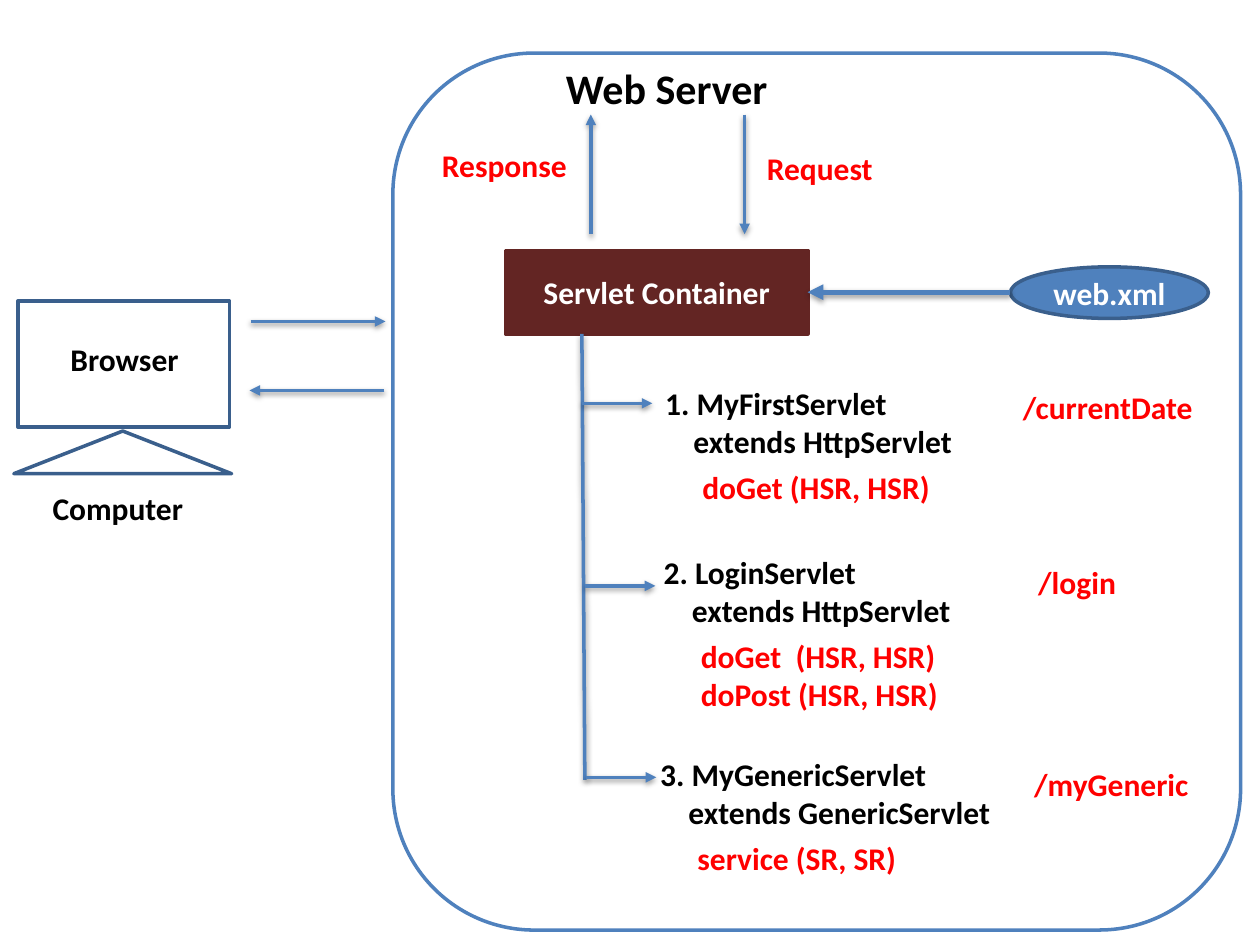
from dataclasses import dataclass

from lxml import etree
from pptx import Presentation
from pptx.dml.color import RGBColor
from pptx.enum.shapes import MSO_CONNECTOR, MSO_SHAPE
from pptx.enum.text import MSO_ANCHOR, PP_ALIGN
from pptx.oxml.ns import qn
from pptx.util import Cm, Pt

STRAIGHT = MSO_CONNECTOR.STRAIGHT
ROUNDED, RECTANGLE = MSO_SHAPE.ROUNDED_RECTANGLE, MSO_SHAPE.RECTANGLE
TRIANGLE, OVAL = MSO_SHAPE.ISOSCELES_TRIANGLE, MSO_SHAPE.OVAL
LEFT, CENTER = PP_ALIGN.LEFT, PP_ALIGN.CENTER
TOP, MIDDLE = MSO_ANCHOR.TOP, MSO_ANCHOR.MIDDLE

COLORS = {
    "black": "000000", "white": "FFFFFF", "red": "FF0000",
    "blue": "4F81BD", "navy": "3A5F8C", "maroon": "632523",
}
LINE_HEIGHT = 0.76


@dataclass
class Box:
    left: float
    top: float
    width: float
    height: float

    def lengths(self) -> list:
        return [Cm(v) for v in (self.left, self.top, self.width, self.height)]


@dataclass
class Arrow:
    x1: float
    y1: float
    x2: float
    y2: float
    width: float = 2
    headed: bool = True


@dataclass
class Servlet:
    name: str
    parent: str
    methods: list[str]
    url: str
    left: float
    top: float
    url_left: float
    url_top: float
    arrow_left: float
    arrow_y: float


SERVLETS = [
    Servlet("1. MyFirstServlet", "extends HttpServlet", ["doGet (HSR, HSR)"],
            "/currentDate", 13.16, 7.62, 20.37, 7.7, 11.73, 8.13),
    Servlet("2. LoginServlet", "extends HttpServlet",
            ["doGet  (HSR, HSR)", "doPost (HSR, HSR)"],
            "/login", 13.13, 11.02, 20.68, 11.23, 11.79, 11.81),
    Servlet("3. MyGenericServlet", "extends GenericServlet", ["service (SR, SR)"],
            "/myGeneric", 13.06, 15.09, 20.6, 15.29, 11.81, 15.67),
]

ARROWS = [
    Arrow(5.05, 6.48, 7.77, 6.48),
    Arrow(7.75, 7.87, 5.03, 7.87),
    Arrow(15.01, 2.31, 15.01, 4.72),
    Arrow(11.91, 4.72, 11.91, 2.31),
    Arrow(20.37, 5.89, 16.28, 5.89, width=3),
    Arrow(11.73, 6.73, 11.79, 15.72, headed=False),
] + [Arrow(s.arrow_left, s.arrow_y, s.arrow_left + 1.42, s.arrow_y) for s in SERVLETS]


def rgb(color: str) -> RGBColor:
    return RGBColor.from_string(COLORS[color])


def write(frame, lines: list[str], *, color: str = "black", size: float = 18,
          align=LEFT, anchor=TOP, wrap: bool = True, hanging: float = 0) -> None:
    frame.word_wrap = wrap
    frame.vertical_anchor = anchor
    for index, line in enumerate(lines):
        paragraph = frame.add_paragraph() if index else frame.paragraphs[0]
        paragraph.alignment = align
        paragraph.space_before = Pt(0)
        if index and hanging:
            paragraph._p.get_or_add_pPr().set("marL", str(Cm(hanging)))
        run = paragraph.add_run()
        run.text = line
        run.font.name, run.font.size, run.font.bold = "Calibri", Pt(size), True
        run.font.color.rgb = rgb(color)


def add_label(slide, left: float, top: float, width: float, lines: list[str],
              **style) -> None:
    box = Box(left, top, width, 0.25 + LINE_HEIGHT * len(lines))
    write(slide.shapes.add_textbox(*box.lengths()).text_frame, lines, **style)


def add_block(slide, preset, box: Box, line: str, fill: str | None = None,
              caption: str | None = None):
    block = slide.shapes.add_shape(preset, *box.lengths())
    block.shadow.inherit = False
    block.line.color.rgb, block.line.width = rgb(line), Pt(2)
    if fill:
        block.fill.solid()
        block.fill.fore_color.rgb = rgb(fill)
    else:
        block.fill.background()
    if caption:
        write(block.text_frame, [caption], color="white", align=CENTER, anchor=MIDDLE)
    return block


def add_arrow(slide, arrow: Arrow) -> None:
    ends = [Cm(v) for v in (arrow.x1, arrow.y1, arrow.x2, arrow.y2)]
    connector = slide.shapes.add_connector(STRAIGHT, *ends)
    connector.line.color.rgb, connector.line.width = rgb("blue"), Pt(arrow.width)
    if arrow.headed:
        etree.SubElement(connector.line._get_or_add_ln(), qn("a:tailEnd"), type="triangle")
    effects = etree.SubElement(connector.element.spPr, qn("a:effectLst"))
    shadow = etree.SubElement(effects, qn("a:outerShdw"), blurRad=str(Pt(3.1)),
                              dist=str(Pt(1.6)), dir="5400000", rotWithShape="0")
    shade = etree.SubElement(shadow, qn("a:srgbClr"), val=COLORS["black"])
    etree.SubElement(shade, qn("a:alpha"), val="38000")


def add_servlet(slide, servlet: Servlet) -> None:
    add_label(slide, servlet.left, servlet.top, 7.3,
              [servlet.name, servlet.parent], hanging=0.57)
    add_label(slide, servlet.left + 0.75, servlet.top + 1.7, 6.93,
              servlet.methods, color="red")
    add_label(slide, servlet.url_left, servlet.url_top, 4.34, [servlet.url], color="red")


def main() -> None:
    deck = Presentation()
    deck.slide_width, deck.slide_height = Cm(25.4), Cm(19.05)
    slide = deck.slides.add_slide(deck.slide_layouts[5])

    server = add_block(slide, ROUNDED, Box(7.92, 1.07, 17.09, 17.68), "blue", "white")
    title = slide.shapes.title
    title.element.addprevious(server.element)
    title.left, title.top, title.width, title.height = Box(11.13, 1.14, 4.62, 1.27).lengths()
    write(title.text_frame, ["Web Server"], size=24, align=CENTER, wrap=False)

    add_block(slide, TRIANGLE, Box(0.28, 8.69, 4.39, 0.86), "navy")
    add_block(slide, RECTANGLE, Box(0.36, 6.07, 4.27, 2.54), "navy")
    add_label(slide, 1.17, 6.73, 2.72, ["Browser"], wrap=False)
    add_label(slide, 0.81, 9.73, 3.33, ["Computer"], wrap=False)

    add_block(slide, RECTANGLE, Box(10.19, 5.05, 6.1, 1.68), "maroon", "maroon",
              "Servlet Container")
    add_block(slide, OVAL, Box(20.37, 5.38, 3.99, 1.04), "navy", "blue", "web.xml")
    add_label(slide, 8.66, 2.82, 3.2, ["Response"], color="red")
    add_label(slide, 15.21, 2.87, 3.28, ["Request"], color="red")

    for arrow in ARROWS:
        add_arrow(slide, arrow)
    for servlet in SERVLETS:
        add_servlet(slide, servlet)
    deck.save("out.pptx")


if __name__ == "__main__":
    main()
